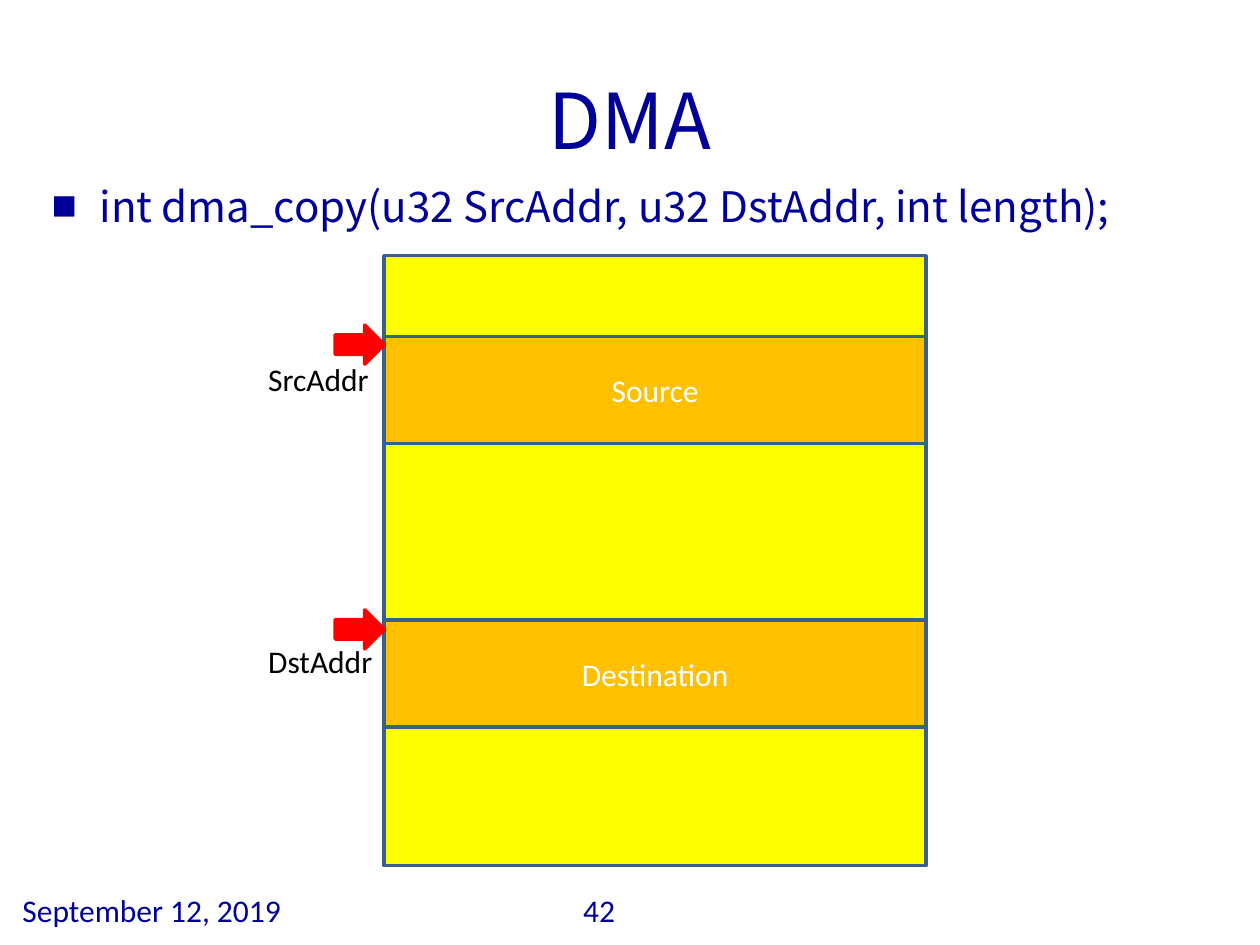
from dataclasses import dataclass

from lxml import etree
from pptx import Presentation
from pptx.dml.color import RGBColor
from pptx.enum.shapes import MSO_SHAPE
from pptx.enum.text import MSO_ANCHOR, MSO_AUTO_SIZE, PP_ALIGN
from pptx.oxml.ns import qn
from pptx.util import Inches, Pt

RECTANGLE = MSO_SHAPE.RECTANGLE
RIGHT_ARROW = MSO_SHAPE.RIGHT_ARROW
MIDDLE = MSO_ANCHOR.MIDDLE
TOP = MSO_ANCHOR.TOP
NO_AUTOFIT = MSO_AUTO_SIZE.NONE
CENTER = PP_ALIGN.CENTER
LEFT = PP_ALIGN.LEFT

COLORS = {
    "navy": "000099",
    "memory": "FFFF00",
    "region": "FFC000",
    "outline": "3A5F8C",
    "arrow": "FF0000",
    "white": "FFFFFF",
    "black": "000000",
}
HEADING_FONT = "Noto Sans CJK SC"
LABEL_FONT = "Calibri"
MEMORY_LEFT, MEMORY_WIDTH = 3.05, 4.3
REGION_HEIGHT = 0.85
ARROW_WIDTH, ARROW_HEIGHT = 0.39, 0.31


@dataclass
class Box:
    left: float
    top: float
    width: float
    height: float


@dataclass
class Region:
    name: str
    address: str
    top: float
    arrow_top: float
    label_top: float


REGIONS = [
    Region("Source", "SrcAddr", 2.67, 2.58, 2.81),
    Region("Destination", "DstAddr", 4.92, 4.84, 5.05),
]


def color(name: str) -> RGBColor:
    return RGBColor.from_string(COLORS[name])


def place(shape, box: Box) -> None:
    shape.left, shape.top = Inches(box.left), Inches(box.top)
    shape.width, shape.height = Inches(box.width), Inches(box.height)


def write(shape, text: str, size: int, font: str, color_name: str,
          alignment=LEFT, anchor=TOP) -> None:
    """Put one formatted run into the shape's first paragraph."""
    frame = shape.text_frame
    frame.word_wrap = True
    frame.auto_size = NO_AUTOFIT
    frame.vertical_anchor = anchor
    paragraph = frame.paragraphs[0]
    paragraph.alignment = alignment
    paragraph.space_before = Pt(0)
    run = paragraph.add_run()
    run.text = text
    run.font.size = Pt(size)
    run.font.name = font
    run.font.color.rgb = color(color_name)


def add_bullet(paragraph, character: str, indent: float) -> None:
    properties = paragraph._p.get_or_add_pPr()
    properties.set("marL", str(Inches(indent)))
    properties.set("indent", str(-Inches(indent)))
    etree.SubElement(properties, qn("a:buChar")).set("char", character)


def add_filled_shape(slide, kind, box: Box, fill: str, line: str):
    shape = slide.shapes.add_shape(
        kind, Inches(box.left), Inches(box.top), Inches(box.width), Inches(box.height))
    shape.shadow.inherit = False
    shape.fill.solid()
    shape.fill.fore_color.rgb = color(fill)
    shape.line.color.rgb = color(line)
    shape.line.width = Pt(2)
    return shape


def add_label(slide, box: Box, text: str, color_name: str) -> None:
    label = slide.shapes.add_textbox(
        Inches(box.left), Inches(box.top), Inches(box.width), Inches(box.height))
    write(label, text, 18, LABEL_FONT, color_name)


def add_region(slide, region: Region) -> None:
    """Draw a named block of memory with the arrow and label of its address."""
    block = add_filled_shape(
        slide, RECTANGLE, Box(MEMORY_LEFT, region.top, MEMORY_WIDTH, REGION_HEIGHT),
        "region", "outline")
    write(block, region.name, 18, LABEL_FONT, "white", CENTER, MIDDLE)
    add_label(slide, Box(2.03, region.label_top, 1.09, 0.4), region.address, "black")
    add_filled_shape(
        slide, RIGHT_ARROW,
        Box(MEMORY_LEFT - ARROW_WIDTH, region.arrow_top, ARROW_WIDTH, ARROW_HEIGHT),
        "arrow", "arrow")


def main() -> None:
    presentation = Presentation()
    presentation.slide_width, presentation.slide_height = Inches(10), Inches(7.5)
    slide = presentation.slides.add_slide(presentation.slide_layouts[1])

    add_label(slide, Box(4.53, 7.02, 0.55, 0.4), "42", "navy")
    add_label(slide, Box(0.08, 7.02, 3.13, 0.4), "September 12, 2019", "navy")

    title, body = slide.shapes.title, slide.placeholders[1]
    place(title, Box(0.5, 0.4, 9, 1.08))
    write(title, "DMA", 44, HEADING_FONT, "navy", CENTER, MIDDLE)
    place(body, Box(0.31, 1.38, 9.3, 4.95))
    write(body, "int dma_copy(u32 SrcAddr, u32 DstAddr, int length);",
          24, HEADING_FONT, "navy")
    add_bullet(body.text_frame.paragraphs[0], "■", 0.38)

    add_filled_shape(slide, RECTANGLE, Box(MEMORY_LEFT, 2.03, MEMORY_WIDTH, 4.84),
                     "memory", "outline")
    for region in REGIONS:
        add_region(slide, region)

    presentation.save("out.pptx")


if __name__ == "__main__":
    main()
